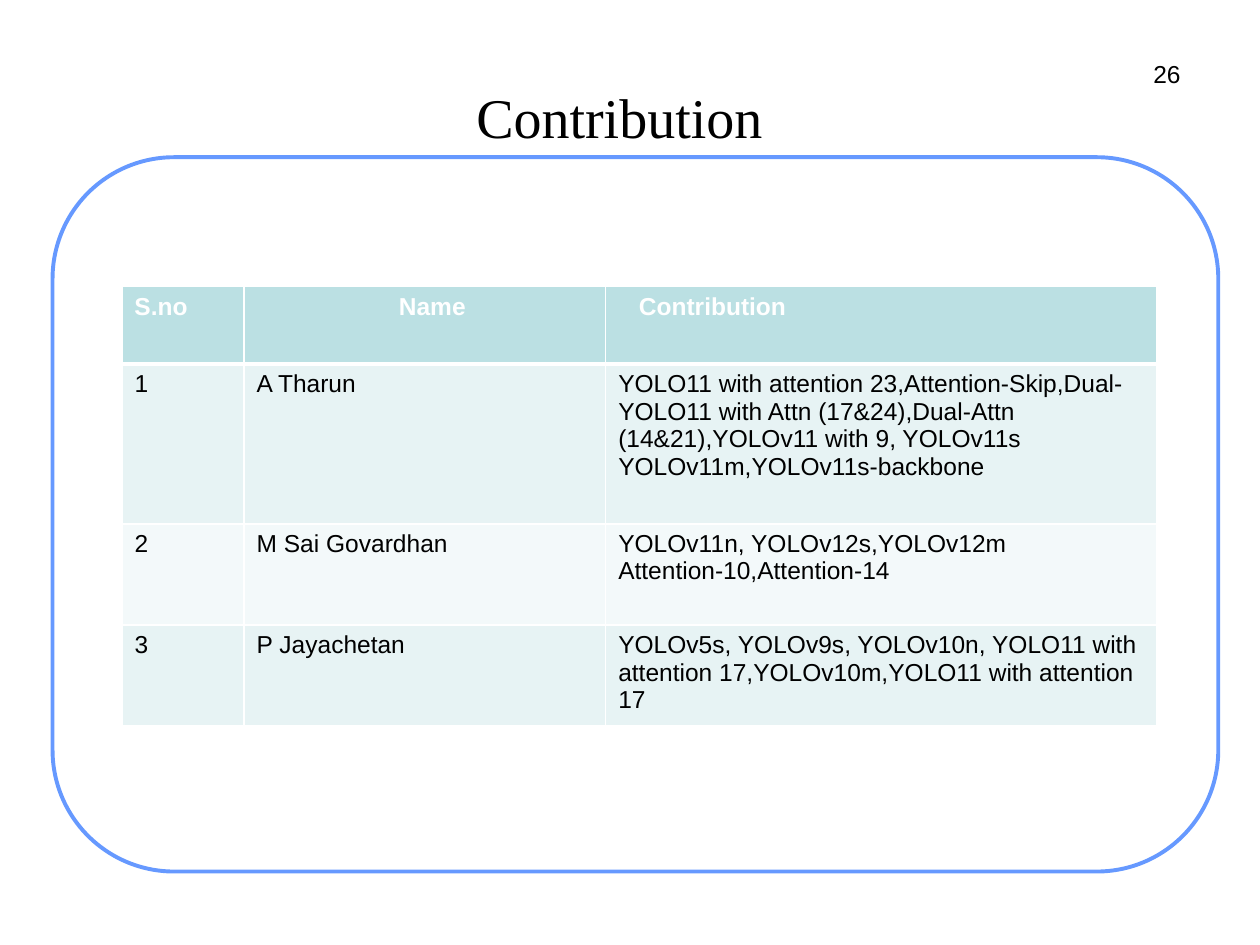
from dataclasses import dataclass

from lxml.etree import SubElement
from pptx import Presentation
from pptx.dml.color import RGBColor
from pptx.enum.shapes import MSO_SHAPE
from pptx.enum.text import MSO_ANCHOR, PP_ALIGN
from pptx.oxml.ns import qn
from pptx.util import Cm, Pt


@dataclass(frozen=True)
class Theme:
    ink: str = "000000"
    paper: str = "FFFFFF"
    frame: str = "6699FF"
    header: str = "BBE0E3"
    bands: tuple = ("E7F3F4", "F3F9FA")
    title_font: str = "Times New Roman"
    body_font: str = "Arial"
    title_size: int = 32
    body_size: int = 14


class SlideBuilder:
    def __init__(self, slide, theme):
        self.slide = slide
        self.theme = theme

    def style(self, text_frame, font, size, color, bold=False, align=PP_ALIGN.LEFT):
        for paragraph in text_frame.paragraphs:
            paragraph.alignment = align
            for run in paragraph.runs:
                run.font.name = font
                run.font.size = Pt(size)
                run.font.bold = bold
                run.font.color.rgb = RGBColor.from_string(color)

    def frame(self, left, top, width, height):
        outline = self.slide.shapes.add_shape(
            MSO_SHAPE.ROUNDED_RECTANGLE, Cm(left), Cm(top), Cm(width), Cm(height))
        outline.adjustments[0] = 0.17
        outline.shadow.inherit = False
        outline.fill.solid()
        outline.fill.fore_color.rgb = RGBColor.from_string(self.theme.paper)
        outline.line.color.rgb = RGBColor.from_string(self.theme.frame)
        outline.line.width = Pt(2.25)

    def text(self, words, left, top, width, height, font, size, align, anchor):
        text_frame = self.slide.shapes.add_textbox(
            Cm(left), Cm(top), Cm(width), Cm(height)).text_frame
        text_frame.word_wrap = True
        text_frame.vertical_anchor = anchor
        text_frame.margin_left = text_frame.margin_right = Cm(0.13)
        text_frame.margin_top = text_frame.margin_bottom = Cm(0.13)
        text_frame.text = words
        self.style(text_frame, font, size, self.theme.ink, align=align)

    def borders(self, cell, widths):
        properties = cell._tc.get_or_add_tcPr()
        for position, (side, width) in enumerate(widths.items()):
            line = properties.makeelement(qn(f"a:{side}"), {"w": str(Pt(width))})
            fill = SubElement(line, qn("a:solidFill"))
            SubElement(fill, qn("a:srgbClr"), val=self.theme.paper)
            properties.insert(position, line)

    def table(self, rows, left, top, widths, heights, header_indents):
        theme = self.theme
        grid = self.slide.shapes.add_table(
            len(rows), len(widths), Cm(left), Cm(top),
            Cm(sum(widths)), Cm(sum(heights))).table
        for column, width in zip(grid.columns, widths):
            column.width = Cm(width)
        for r, (words, height) in enumerate(zip(rows, heights)):
            grid.rows[r].height = Cm(height)
            is_header = r == 0
            fill = theme.header if is_header else theme.bands[(r - 1) % 2]
            color = theme.paper if is_header else theme.ink
            for c, value in enumerate(words):
                cell = grid.cell(r, c)
                cell.text_frame.text = value
                if is_header:
                    cell.margin_left = Cm(header_indents[c])
                self.style(cell.text_frame, theme.body_font, theme.body_size, color, is_header)
                cell.fill.solid()
                cell.fill.fore_color.rgb = RGBColor.from_string(fill)
                self.borders(cell, {"lnL": 1, "lnR": 1,
                                    "lnT": 3 if r == 1 else 1,
                                    "lnB": 3 if is_header else 1})


CONTRIBUTIONS = [
    ("S.no", "Name", "Contribution"),
    ("1", "A Tharun",
     "YOLO11 with attention 23,Attention-Skip,Dual-YOLO11 with Attn (17&24),"
     "Dual-Attn (14&21),YOLOv11 with 9, YOLOv11s\nYOLOv11m,YOLOv11s-backbone"),
    ("2", "M Sai Govardhan",
     "YOLOv11n, YOLOv12s,YOLOv12m\nAttention-10,Attention-14"),
    ("3", "P Jayachetan",
     "YOLOv5s, YOLOv9s, YOLOv10n, YOLO11 with attention 17,"
     "YOLOv10m,YOLO11 with attention 17"),
]


def main():
    presentation = Presentation()
    presentation.slide_width = Cm(25.4)
    presentation.slide_height = Cm(19.05)
    theme = Theme()
    builder = SlideBuilder(
        presentation.slides.add_slide(presentation.slide_layouts[6]), theme)

    builder.frame(1.06, 3.17, 23.5, 14.4)
    builder.text("Contribution", 1.06, -0.81, 22.86, 6.3, theme.title_font,
                 theme.title_size, PP_ALIGN.CENTER, MSO_ANCHOR.MIDDLE)
    builder.text("26", 23.09, 1.06, 0.84, 0.86, theme.body_font,
                 theme.body_size, PP_ALIGN.RIGHT, MSO_ANCHOR.TOP)
    builder.table(CONTRIBUTIONS, 2.46, 5.78, widths=(2.46, 7.29, 11.1),
                  heights=(1.56, 3.22, 2.04, 2.03), header_indents=(0.25, 3.12, 0.67))
    presentation.save("out.pptx")


if __name__ == "__main__":
    main()
